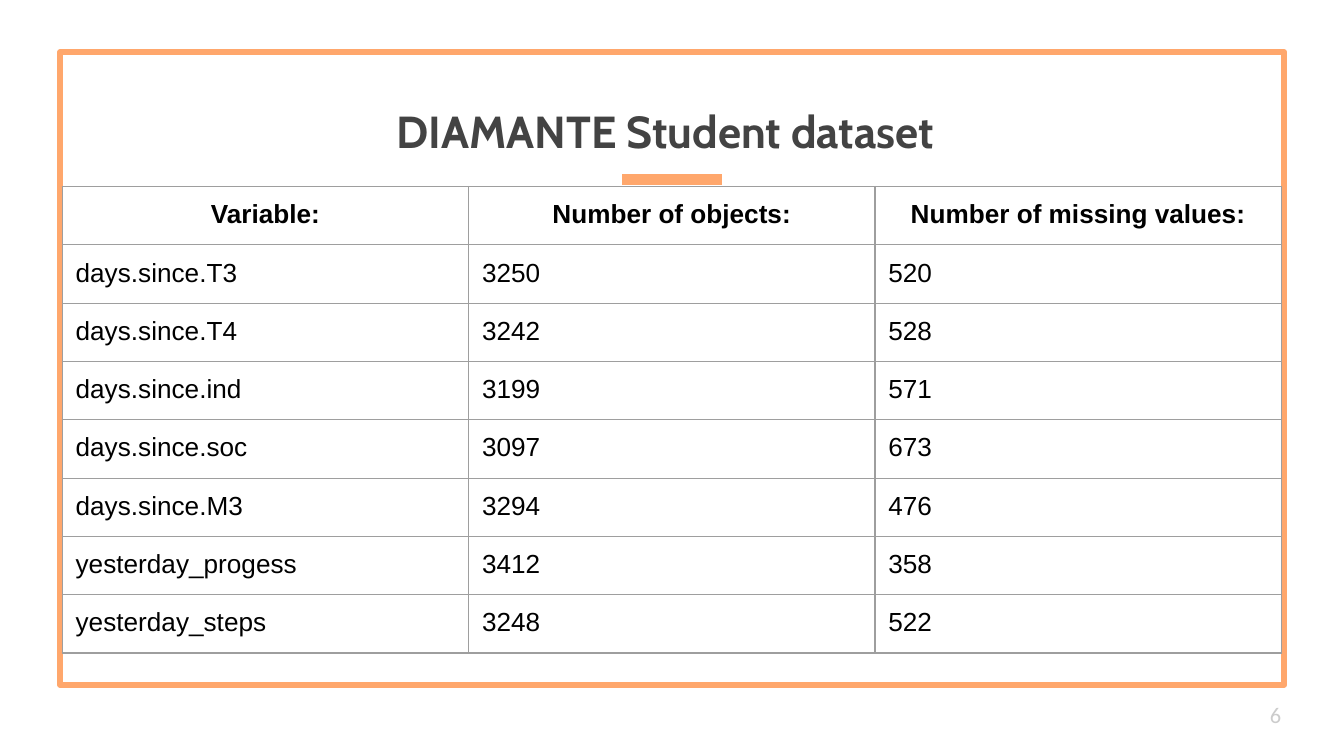
"""Build the slide with the table of missing values in the student dataset."""
from dataclasses import dataclass

from lxml.etree import SubElement
from pptx import Presentation
from pptx.dml.color import RGBColor
from pptx.enum.shapes import MSO_CONNECTOR, MSO_SHAPE
from pptx.enum.text import MSO_ANCHOR, PP_ALIGN
from pptx.oxml.ns import qn
from pptx.slide import Slide
from pptx.table import _Cell
from pptx.text.text import TextFrame
from pptx.util import Emu, Inches, Pt

WIDTH = Inches(10)
HEIGHT = Emu(WIDTH * 9 // 16)
INSET = Inches(0.1)
ORANGE = RGBColor(0xFF, 0xA7, 0x6C)
CHARCOAL = RGBColor(0x43, 0x43, 0x43)
BLACK = RGBColor(0x00, 0x00, 0x00)
PALE = RGBColor(0xCC, 0xCC, 0xCC)
GREY = RGBColor(0x9E, 0x9E, 0x9E)


@dataclass(frozen=True)
class Box:
    """Place and size in percent of the slide's width and height."""
    left: float
    top: float
    width: float
    height: float

    def emu(self) -> tuple[Emu, Emu, Emu, Emu]:
        """Return left, top, width and height as lengths."""
        return (Emu(int(WIDTH * self.left / 100)), Emu(int(HEIGHT * self.top / 100)),
                Emu(int(WIDTH * self.width / 100)), Emu(int(HEIGHT * self.height / 100)))


@dataclass(frozen=True)
class Style:
    """Look of one run and its paragraph."""
    font: str
    size: float
    color: RGBColor
    bold: bool = False
    align: PP_ALIGN = PP_ALIGN.LEFT


@dataclass(frozen=True)
class Variable:
    """One row of the dataset table."""
    name: str
    objects: int
    missing: int


FRAME = Box(4.46, 6.88, 91.1, 83.73)
ACCENT = Box(46.3, 23.75, 7.4, 0)
TITLE = Box(-0.5, 4.8, 100, 17.78)
NUMBER = Box(93.5, 90.7, 6, 7.65)
TABLE = Box(4.63, 24.68, 90.72, 61.5)

TITLE_STYLE = Style("Cabin", 24, CHARCOAL, True, PP_ALIGN.CENTER)
NUMBER_STYLE = Style("Calibri", 12, PALE)
HEAD_STYLE = Style("Arial", 14, BLACK, True, PP_ALIGN.CENTER)
BODY_STYLE = Style("Arial", 14, BLACK)

HEADINGS = ("Variable:", "Number of objects:", "Number of missing values:")
VARIABLES = (
    Variable("days.since.T3", 3250, 520),
    Variable("days.since.T4", 3242, 528),
    Variable("days.since.ind", 3199, 571),
    Variable("days.since.soc", 3097, 673),
    Variable("days.since.M3", 3294, 476),
    Variable("yesterday_progess", 3412, 358),
    Variable("yesterday_steps", 3248, 522),
)


def write(tf: TextFrame, text: str, style: Style) -> None:
    """Put one styled run into the first paragraph."""
    p = tf.paragraphs[0]
    p.alignment = style.align
    r = p.add_run()
    r.text = text
    r.font.name, r.font.size = style.font, Pt(style.size)
    r.font.bold = style.bold
    r.font.color.rgb = style.color


def set_frame(tf: TextFrame, anchor: MSO_ANCHOR) -> None:
    """Give a text frame its insets, wrapping and anchor."""
    tf.word_wrap = True
    tf.vertical_anchor = anchor
    tf.margin_left = tf.margin_right = tf.margin_top = tf.margin_bottom = INSET


def add_frame(s: Slide) -> None:
    """Draw the outlined frame with round corners."""
    sp = s.shapes.add_shape(MSO_SHAPE.RECTANGLE, *FRAME.emu())
    sp.shadow.inherit = False
    sp.fill.background()
    sp.line.color.rgb, sp.line.width = ORANGE, Pt(3)
    SubElement(sp.line._get_or_add_ln(), qn("a:round"))


def add_accent(s: Slide) -> None:
    """Draw the short bar under the title."""
    x, y, w, h = ACCENT.emu()
    bar = s.shapes.add_connector(MSO_CONNECTOR.STRAIGHT, x, y, x + w, y + h)
    bar.line.color.rgb, bar.line.width = ORANGE, Pt(6)
    SubElement(bar._element.spPr, qn("a:effectLst"))


def add_title(s: Slide, text: str) -> None:
    """Move and fill the title placeholder."""
    sp = s.shapes.title
    sp.left, sp.top, sp.width, sp.height = TITLE.emu()
    set_frame(sp.text_frame, MSO_ANCHOR.BOTTOM)
    write(sp.text_frame, text, TITLE_STYLE)


def add_number(s: Slide, text: str) -> None:
    """Add the slide number."""
    tf = s.shapes.add_textbox(*NUMBER.emu()).text_frame
    set_frame(tf, MSO_ANCHOR.MIDDLE)
    write(tf, text, NUMBER_STYLE)


def fill_cell(cell: _Cell, text: str, style: Style) -> None:
    """Write a cell, border it on all sides and clear its fill."""
    cell.margin_left = cell.margin_right = cell.margin_top = cell.margin_bottom = INSET
    write(cell.text_frame, text, style)
    tc_pr = cell._tc.get_or_add_tcPr()
    for side in ("a:lnL", "a:lnR", "a:lnT", "a:lnB"):
        ln = SubElement(tc_pr, qn(side), w=str(Pt(0.75)))
        SubElement(SubElement(ln, qn("a:solidFill")), qn("a:srgbClr"), val=str(GREY))
    cell.fill.background()


def add_variables(s: Slide) -> None:
    """Add the table with a heading row and one row per variable."""
    rows = [HEADINGS] + [(v.name, str(v.objects), str(v.missing)) for v in VARIABLES]
    table = s.shapes.add_table(len(rows), len(HEADINGS), *TABLE.emu()).table
    table.first_row = table.horz_banding = False
    for i, row in enumerate(rows):
        for j, text in enumerate(row):
            fill_cell(table.cell(i, j), text, BODY_STYLE if i else HEAD_STYLE)


def main() -> None:
    """Build and save the slide."""
    prs = Presentation()
    prs.slide_width, prs.slide_height = WIDTH, HEIGHT
    s = prs.slides.add_slide(prs.slide_layouts[5])
    add_frame(s)
    add_accent(s)
    add_title(s, "DIAMANTE Student dataset")
    add_number(s, "6")
    add_variables(s)
    prs.save("out.pptx")


if __name__ == "__main__":
    main()
